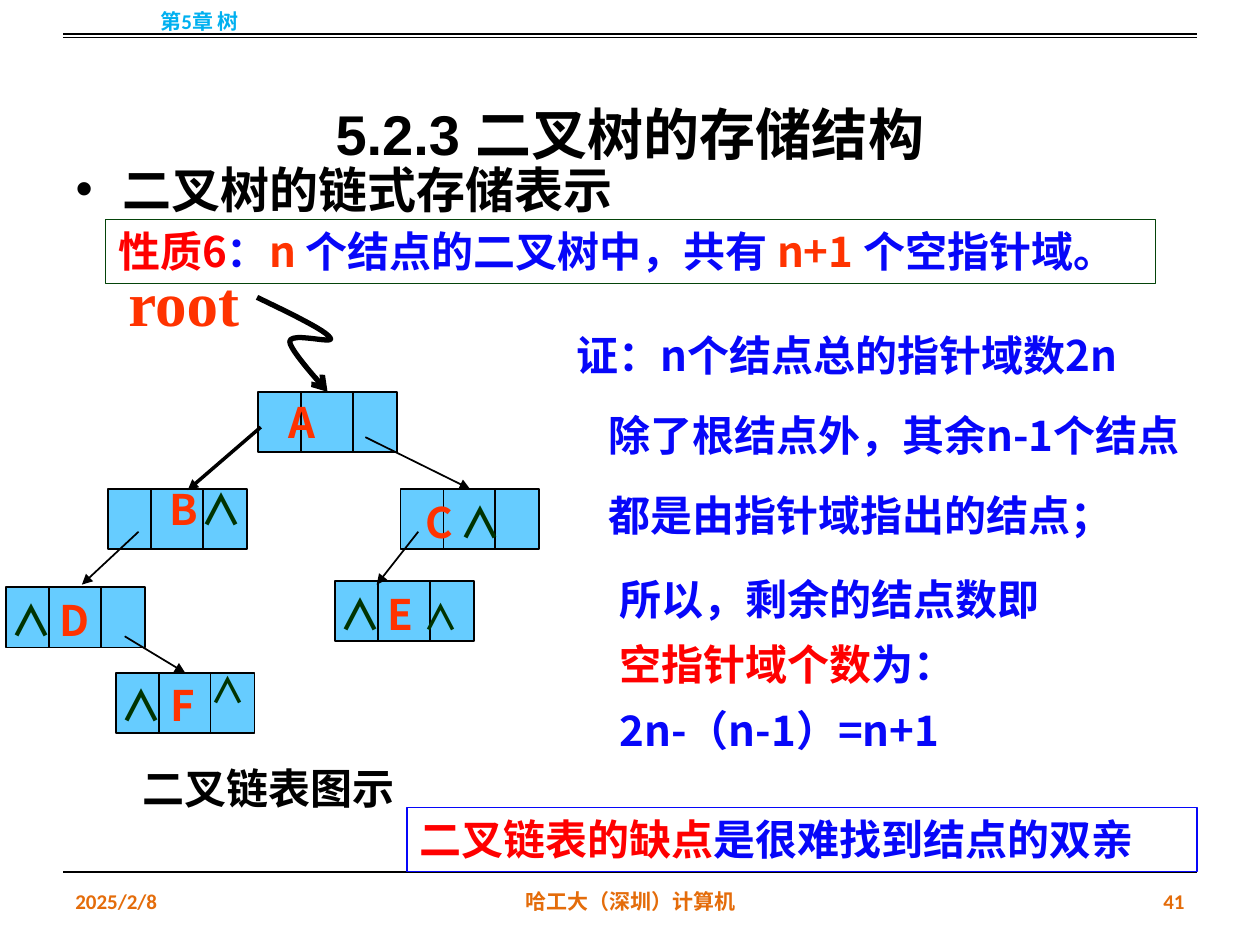
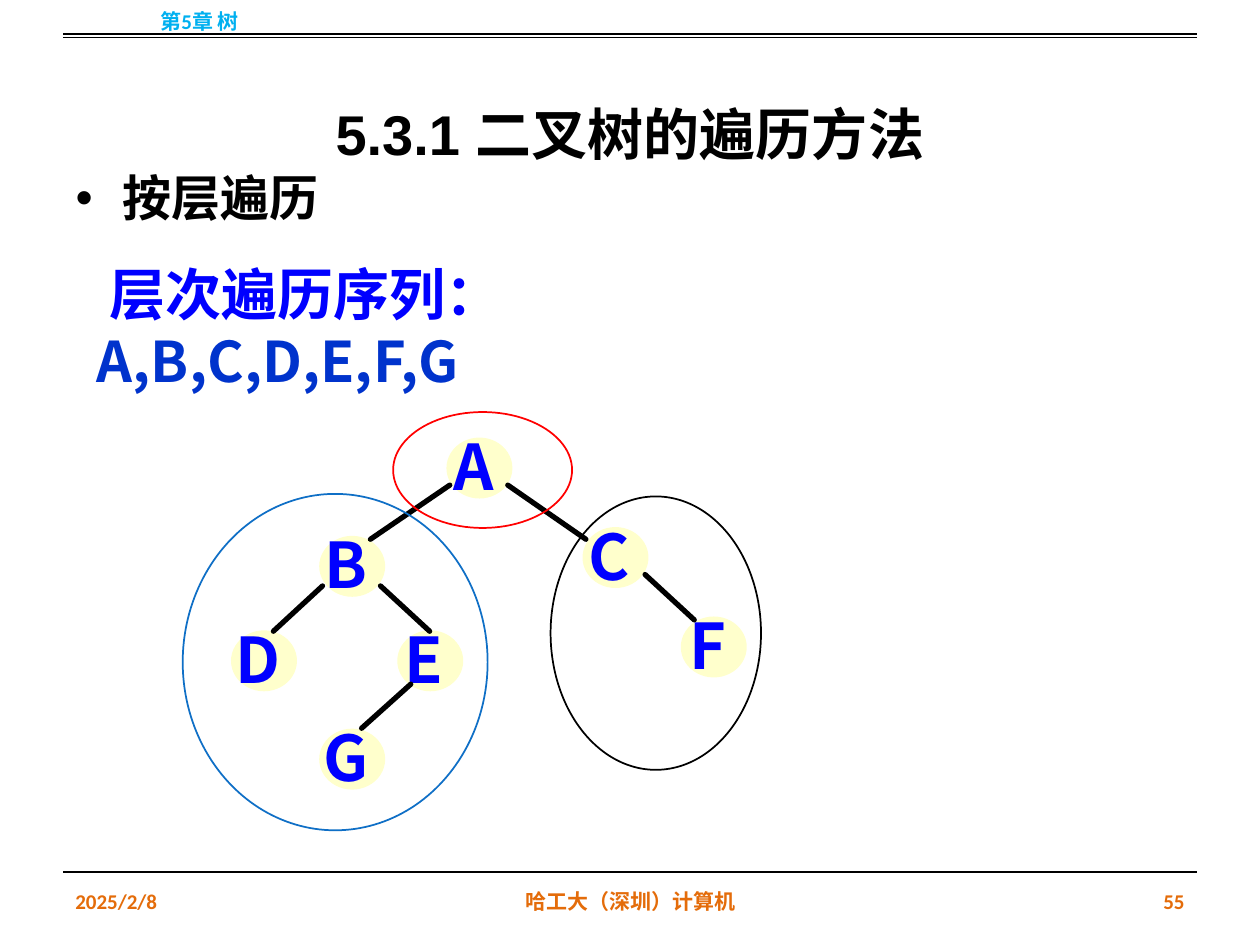
from pptx import Presentation
from pptx import util as u
from pptx.dml.color import RGBColor
from pptx.enum import shapes, text
from pptx.oxml.ns import qn
from lxml import etree

# Grid: 100 columns by 75 rows of square cells
COLS, ROWS, CELL = 100, 75, 91440
SANS, HEAD, BODY, SERIF = "Noto Sans CJK SC", "Arial", "Calibri", "Times New Roman"
BLACK, BLUE, RED, ORANGE = "000000", "0707F9", "FF0000", "FF3300"
FOOT, HEADER, GREEN, CARET = "E46C0A", "00B0F0", "04440A", "003300"
CELL_FILL, NODE_FILL, LETTER, SEQ = "66CCFF", "FFFFCC", "0000FF", "0033CC"
LEFT, CENTER, RIGHT = (text.PP_ALIGN.LEFT, text.PP_ALIGN.CENTER,
                       text.PP_ALIGN.RIGHT)
RECT, OVAL = shapes.MSO_SHAPE.RECTANGLE, shapes.MSO_SHAPE.OVAL


def g(n):
    return round(n * CELL)


def color(hex_string):
    return RGBColor.from_string(hex_string)


def write(tf, paragraphs, size=24, font=SANS, fill=BLUE, align=LEFT, spacing=None,
          anchor=text.MSO_ANCHOR.TOP, wrap=True, grow=False, insets=None, indent=0):
    """Each paragraph is a string or a list of (string, colour) runs."""
    tf.word_wrap = wrap
    fit = text.MSO_AUTO_SIZE
    tf.auto_size = fit.SHAPE_TO_FIT_TEXT if grow else fit.NONE
    tf.vertical_anchor = anchor
    if insets:
        tf.margin_left, tf.margin_top, tf.margin_right, tf.margin_bottom = map(g, insets)
    for i, runs in enumerate(paragraphs):
        p = tf.add_paragraph() if i else tf.paragraphs[0]
        p.alignment = align
        p.space_before = p.space_after = u.Pt(0)
        if spacing:
            p.line_spacing = spacing
        if indent:
            p._p.get_or_add_pPr().set("indent", str(g(indent)))
        for words, shade in [(runs, fill)] if isinstance(runs, str) else runs:
            r = p.add_run()
            r.text = words
            r.font.size, r.font.bold, r.font.name = u.Pt(size), True, font
            r.font.color.rgb = color(shade)
            ea = etree.SubElement(r._r.get_or_add_rPr(), qn("a:ea"))
            ea.set("typeface", SANS)


def textbox(s, box, paragraphs, **fmt):
    sp = s.shapes.add_textbox(*map(g, box))
    write(sp.text_frame, paragraphs, **fmt)


def shape(s, kind, box, fill=None, line=BLACK, width=1):
    sp = s.shapes.add_shape(kind, *map(g, box))
    sp.shadow.inherit = False
    if fill:
        sp.fill.solid()
        sp.fill.fore_color.rgb = color(fill)
    else:
        sp.fill.background()
    sp.line.color.rgb = color(line)
    sp.line.width = u.Pt(width)
    return sp


def arrowhead(sp, kind):
    tail = etree.SubElement(sp.line._get_or_add_ln(), qn("a:tailEnd"))
    tail.set("type", kind)


def line(s, x1, y1, x2, y2, width=1.0, head=None, target=None, cap="flat"):
    c = s.shapes.add_connector(shapes.MSO_CONNECTOR.STRAIGHT, *map(g, (x1, y1, x2, y2)))
    c.line.color.rgb = color(BLACK)
    c.line.width = u.Pt(width)
    c.line._get_or_add_ln().set("cap", cap)
    if head:
        arrowhead(c, head)
    if target is not None:
        c.end_connect(target, 0)
    etree.SubElement(c._element.spPr, qn("a:effectLst"))


def curve(s, start, beziers, steps=12):
    """Smooth line with an arrowhead, through cubic Bezier pieces."""
    points, p0 = [], start
    for p1, p2, p3 in beziers:
        for k in range(1, steps + 1):
            t = k / steps
            weights = ((1 - t) ** 3, 3 * t * (1 - t) ** 2, 3 * t * t * (1 - t), t ** 3)
            points.append(tuple(g(sum(w * p[axis] for w, p in zip(weights, (p0, p1, p2, p3))))
                                for axis in (0, 1)))
        p0 = p3
    builder = s.shapes.build_freeform(g(start[0]), g(start[1]))
    builder.add_line_segments(points, close=False)
    sp = builder.convert_to_shape()
    sp.shadow.inherit = False
    sp.fill.background()
    sp.line.color.rgb = color(BLACK)
    sp.line.width = u.Pt(3)
    arrowhead(sp, "arrow")


def label(s, cx, cy, mark, size, fill):
    textbox(s, (cx - 2.5, cy - 2.7, 5, 5), [mark], size=size, fill=fill, align=CENTER,
            anchor=text.MSO_ANCHOR.MIDDLE, wrap=False, insets=(0, 0, 0, 0))


def list_node(s, x, y, marks):
    """Record of three fields; marks are (dx, dy, text, size)."""
    sp = shape(s, RECT, (x, y, 11, 4.8), CELL_FILL)
    for dx in (3.4, 7.5):
        line(s, x + dx, y, x + dx, y + 4.8)
    for dx, dy, mark, size in marks:
        label(s, x + dx, y + dy, mark, size, CARET if mark == "∧" else ORANGE)
    return sp


def tree_node(s, letter, x, y):
    sp = shape(s, OVAL, (x, y, 5.1, 4.7), NODE_FILL, NODE_FILL)
    write(sp.text_frame, [letter], size=36, fill=LETTER, align=CENTER, wrap=False,
          anchor=text.MSO_ANCHOR.MIDDLE, insets=(0, 0, 1, 0.4))


def base_slide(prs, title, item, pitch, number):
    s = prs.slides.add_slide(prs.slide_layouts[1])
    middle = text.MSO_ANCHOR.MIDDLE
    # Title and list
    for sp, box in zip(s.placeholders, ((5, 3, 90, 12.5), (5, 12.5, 90, 55.8))):
        sp.left, sp.top, sp.width, sp.height = map(g, box)
    write(s.shapes.title.text_frame, [title], size=32, font=HEAD, fill=BLACK,
          align=CENTER, spacing=1.5, anchor=middle)
    write(s.placeholders[1].text_frame, [item], size=28, font=BODY, fill=BLACK,
          spacing=u.Pt(pitch))
    # Footer, header and rules
    for x, y, w, words, align, fill in (
            (5, 69.5, 23.3, "2025/2/8", LEFT, FOOT),
            (34.2, 69.5, 31.7, "哈工大（深圳）计算机", CENTER, FOOT),
            (71.7, 69.5, 23.3, number, RIGHT, FOOT),
            (0, -0.3, 31.7, "第5章 树", CENTER, HEADER)):
        textbox(s, (x, y, w, 4), [words], size=12, font=BODY, fill=fill,
                align=align, anchor=middle)
    for y in (2.7, 3, 69.2):
        line(s, 5, y, 95, y, 0.75)
    return s


def storage_slide(prs):
    s = base_slide(prs, "5.2.3 二叉树的存储结构", "二叉树的链式存储表示", 31, "41")
    # Property and proof
    sp = shape(s, RECT, (8.4, 17.4, 83.3, 5.1), line=GREEN, width=0.75)
    write(sp.text_frame, [[("性质6", RED), ("：", BLUE), ("n ", ORANGE),
                           ("个结点的二叉树中，共有 ", BLUE), ("n+1 ", ORANGE),
                           ("个空指针域。", BLUE)]], wrap=False, grow=True)
    textbox(s, (44.8, 23.3, 49.4, 6.4), ["证：n个结点总的指针域数2n"],
            spacing=1.6, wrap=False, grow=True)
    textbox(s, (47.3, 29.6, 59.7, 12.9),
            ["除了根结点外，其余n-1个结点", "都是由指针域指出的结点；"],
            spacing=1.6, grow=True)
    textbox(s, (48.2, 43.8, 59.7, 16.8),
            ["所以，剩余的结点数即", [("空指针域个数", RED), ("为：", BLUE)],
             "2n-（n-1）=n+1"], spacing=1.3, grow=True)
    # Drawback
    sp = shape(s, RECT, (32.3, 64.1, 62.7, 5.1), line=BLUE, width=0.75)
    write(sp.text_frame, [[("二叉链表的缺点", RED), ("是很难找到结点的双亲", BLUE)]],
          font=SERIF, grow=True)
    # Linked list diagram
    textbox(s, (4.7, 60, 33.3, 5), ["二叉链表图示"], fill=BLACK, align=CENTER, grow=True)
    nodes = {}
    for name, x, y, dx, dy, carets in (
            ("A", 20.5, 31.1, 3.5, 2.6, ()),
            ("B", 8.6, 38.8, 6, 1.8, ((9, 1.8, 24),)),
            ("C", 31.8, 38.8, 3.1, 2.8, ((6.3, 2.8, 24),)),
            ("D", 0.5, 46.6, 5.4, 2.8, ((2, 2.8, 24),)),
            ("E", 26.6, 46.1, 5.2, 2.8, ((2, 2.8, 24), (8.4, 3, 20))),
            ("F", 9.2, 53.4, 5.3, 2.7, ((2, 2.7, 24), (8.9, 1.5, 20)))):
        marks = [(dx, dy, name, 24)] + [(cx, cy, "∧", size) for cx, cy, size in carets]
        nodes[name] = list_node(s, x, y, marks)
    for ends, width, target in (
            ((20.7, 33.9, 14.9, 38.9), 2, None),
            ((29, 34.7, 37.4, 38.9), 1, nodes["C"]),
            ((11, 42.2, 6.5, 46.4), 1, None),
            ((33.2, 42.2, 29.9, 46.4), 1, None),
            ((9.9, 50.5, 14.9, 53), 1, nodes["F"])):
        line(s, *ends, width, "triangle", target)
    # Root pointer
    curve(s, (20.4, 23.6), [((23.1, 24.9), (25.8, 26.2), (26.2, 26.8)),
                            ((26.7, 27.4), (23.1, 26.3), (23, 27.1)),
                            ((23, 27.8), (25.5, 30.5), (26, 31.1))])
    textbox(s, (9.2, 20.4, 11, 7.1), ["root"], size=36, font=SERIF, fill=ORANGE,
            wrap=False, grow=True)


def traversal_slide(prs):
    s = base_slide(prs, "5.3.1 二叉树的遍历方法", "按层遍历", 36, "55")
    # Tree
    for letter, x, y in (("A", 35.5, 34.8), ("B", 25.4, 42.6), ("C", 46.3, 41.9),
                         ("D", 18.4, 50.1), ("E", 31.6, 50.1), ("F", 54.1, 49),
                         ("G", 25.4, 57.9)):
        tree_node(s, letter, x, y)
    for ends in ((35.7, 38.5, 29.4, 42.8), (40.3, 38.5, 46.5, 42.8),
                 (30.2, 46.5, 34.1, 50.1), (32.6, 54.3, 28.7, 57.8),
                 (25.6, 46.5, 21.7, 50.1), (51.2, 45.6, 55.1, 49.2)):
        line(s, *ends, 3, cap="rnd")
    # Rings around the root and its subtrees
    for box, ring in (((14.5, 39.2, 24.2, 26.7), "0F6FC6"),
                      ((43.7, 39.4, 16.7, 21.7), BLACK),
                      ((31.2, 32.7, 14.2, 9.2), RED)):
        shape(s, OVAL, box, line=ring)
    # Sequence
    textbox(s, (6.7, 20.1, 55.9, 11.7),
            [[("层次遍历序列： ", LETTER), ("A,B,C,D,E,F,G", SEQ)]],
            size=32, indent=1, grow=True)


def main():
    prs = Presentation()
    prs.slide_width, prs.slide_height = g(COLS), g(ROWS)
    storage_slide(prs)
    traversal_slide(prs)
    prs.save("out.pptx")


if __name__ == "__main__":
    main()
